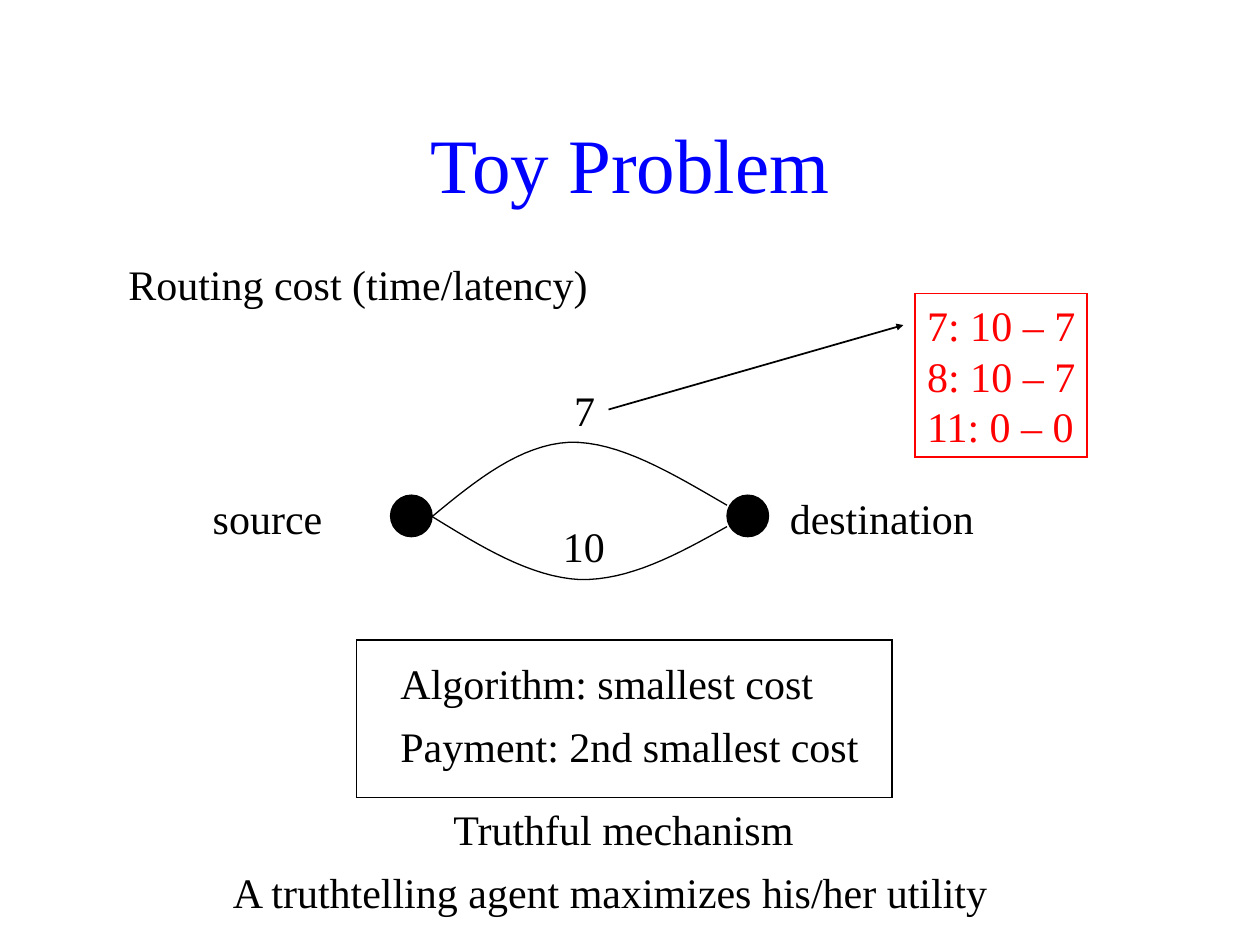
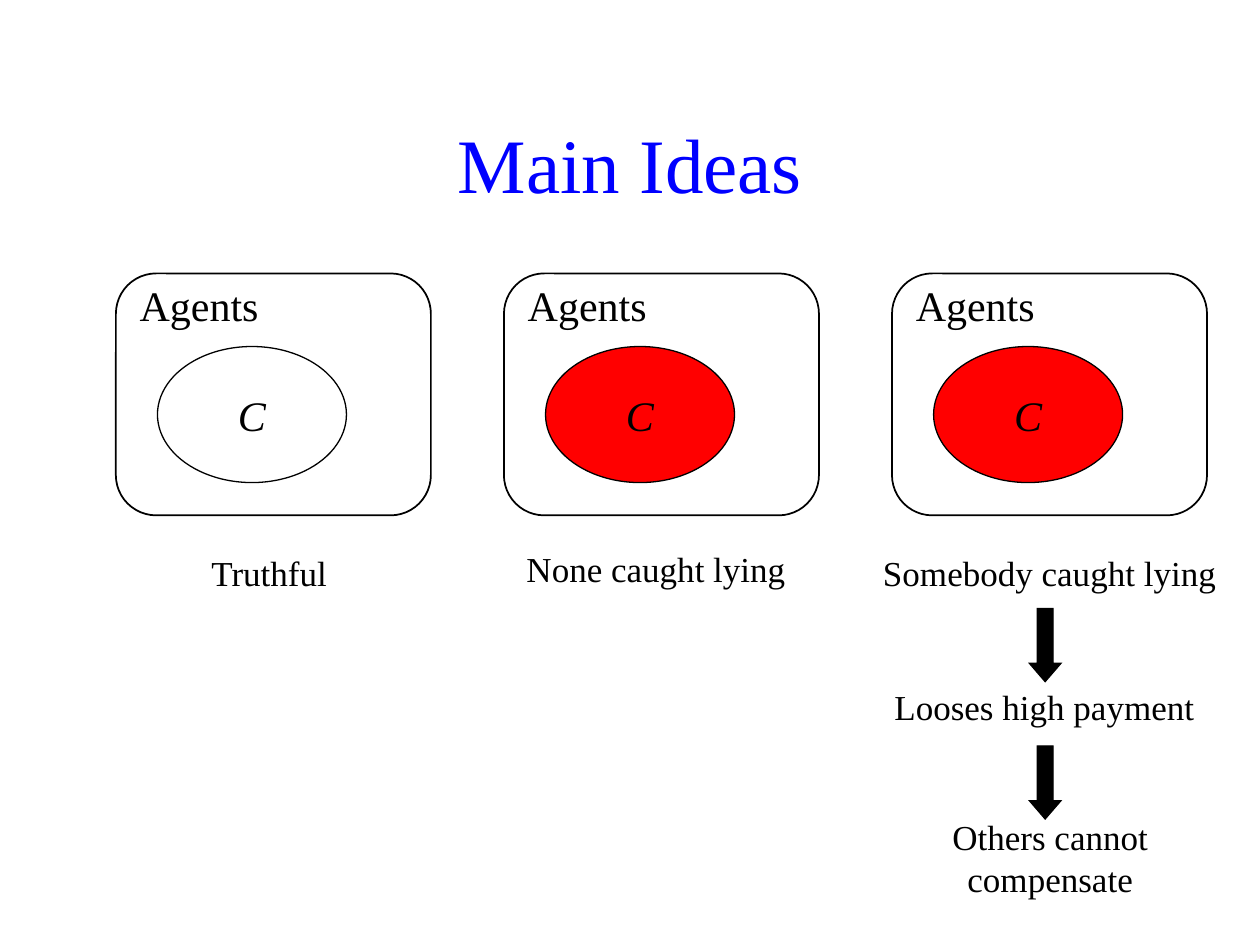
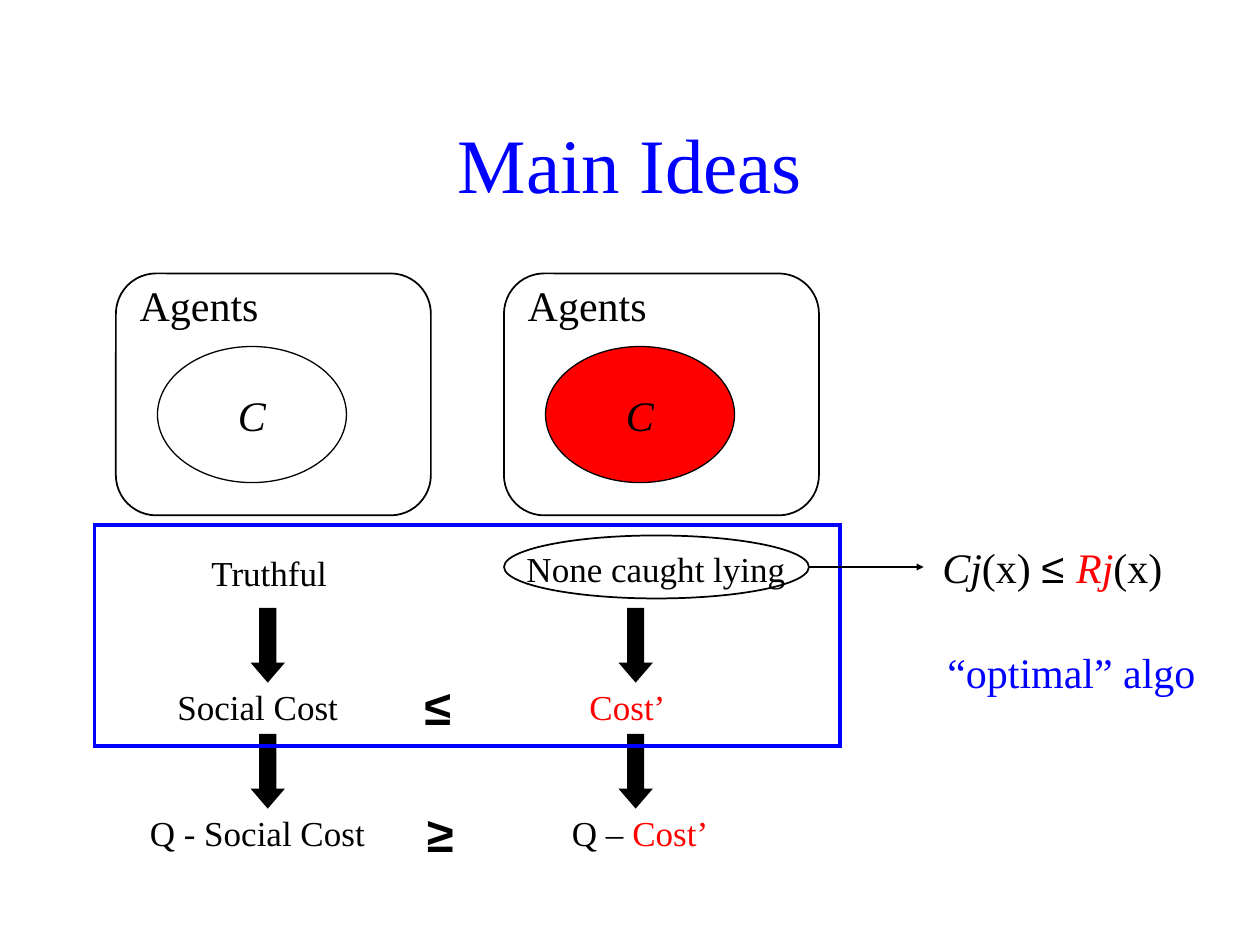
import pptx
import pptx.dml.color
import pptx.enum.shapes
import pptx.enum.text
import pptx.oxml
import pptx.oxml.ns
import pptx.util
from pptx.util import Inches

BLACK = pptx.dml.color.RGBColor(0x00, 0x00, 0x00)
RED = pptx.dml.color.RGBColor(0xFF, 0x00, 0x00)
BLUE = pptx.dml.color.RGBColor(0x00, 0x00, 0xFF)
SERIF = "Times New Roman"
SANS = "Arial"
PRESET = pptx.enum.shapes.MSO_SHAPE
LEFT = pptx.enum.text.PP_ALIGN.LEFT
CENTER = pptx.enum.text.PP_ALIGN.CENTER
TOP = pptx.enum.text.MSO_ANCHOR.TOP
MIDDLE = pptx.enum.text.MSO_ANCHOR.MIDDLE
DRAWING = pptx.oxml.ns.nsdecls("a")


def place(slide, box, preset=None, fill=None, line=BLACK, weight=0.75):
    """Add a preset shape, or a text box when no preset is given."""
    box = [Inches(length) for length in box]
    if preset is None:
        return slide.shapes.add_textbox(*box)
    shape = slide.shapes.add_shape(preset, *box)
    shape.shadow.inherit = False
    if fill is None:
        shape.fill.background()
    else:
        shape.fill.solid()
        shape.fill.fore_color.rgb = fill
    shape.line.color.rgb = line
    shape.line.width = pptx.util.Pt(weight)
    sharp_corners = pptx.oxml.parse_xml(f'<a:miter {DRAWING} lim="800000"/>')
    shape.line._get_or_add_ln().append(sharp_corners)
    return shape


def write(shape, *paragraphs, size=24, color=BLACK, font=SERIF, bold=False,
          italic=False, align=LEFT, anchor=TOP):
    """Fill a shape; a paragraph is a string or a list of (text, overrides)."""
    frame = shape.text_frame
    frame.word_wrap = True
    frame.auto_size = pptx.enum.text.MSO_AUTO_SIZE.NONE
    frame.vertical_anchor = anchor
    # Narrow margins keep tightly fitting text on one line
    frame.margin_left = Inches(0.05 if align == CENTER else 0.1)
    frame.margin_right = Inches(0.05)
    for index, content in enumerate(paragraphs):
        paragraph = frame.add_paragraph() if index else frame.paragraphs[0]
        paragraph.alignment = align
        runs = [(content, {})] if isinstance(content, str) else content
        for text, overrides in runs:
            run = paragraph.add_run()
            run.text = text
            run.font.size = pptx.util.Pt(size)
            run.font.bold = bold
            run.font.name = overrides.get("font", font)
            run.font.italic = overrides.get("italic", italic)
            run.font.color.rgb = overrides.get("color", color)


deck = pptx.Presentation()
deck.slide_width = Inches(10)
deck.slide_height = Inches(7.5)

# Titles
slides = []
for heading in ["Toy Problem", "Main Ideas", "Main Ideas"]:
    slide = deck.slides.add_slide(deck.slide_layouts[5])
    title = slide.shapes.title
    title.left, title.top = Inches(0.75), Inches(0.67)
    title.width, title.height = Inches(8.5), Inches(1.25)
    write(title, heading, size=44, color=BLUE, align=CENTER, anchor=MIDDLE)
    slides.append(slide)
toy, outcomes, comparison = slides

# Toy problem: two routes between two nodes
for node_left in [3.1, 5.77]:
    place(toy, (node_left, 3.93, 0.33, 0.33), PRESET.OVAL, fill=BLACK)

# Each route is two Bezier pieces that share their middle point
routes = [
    [(3.43, 4.1), (3.78, 3.81), (4.13, 3.53), (4.52, 3.51),
     (4.91, 3.5), (5.34, 3.76), (5.77, 4.01)],
    [(3.43, 4.1), (3.82, 4.34), (4.21, 4.58), (4.6, 4.6),
     (4.99, 4.61), (5.38, 4.4), (5.77, 4.18)],
]
STEPS = 16
for controls in routes:
    points = []
    for first in [0, 3]:
        piece = controls[first:first + 4]
        for step in range(1, STEPS + 1):
            t = step / STEPS
            weights = [(1 - t) ** 3, 3 * t * (1 - t) ** 2,
                       3 * t ** 2 * (1 - t), t ** 3]
            points.append(tuple(
                Inches(sum(w * point[axis] for w, point in zip(weights, piece)))
                for axis in (0, 1)))
    start_x, start_y = controls[0]
    builder = toy.shapes.build_freeform(Inches(start_x), Inches(start_y))
    builder.add_line_segments(points, close=False)
    route = builder.convert_to_shape()
    route.shadow.inherit = False
    route.fill.background()
    route.line.color.rgb = BLACK
    route.line.width = pptx.util.Pt(0.75)

for text, left, top, width, align in [
    ("source", 1.59, 3.86, 1.07, LEFT),
    ("destination", 6.17, 3.86, 1.66, LEFT),
    ("Routing cost (time/latency)", 0.92, 2, 3.84, LEFT),
    ("7", 4.46, 3, 0.36, CENTER),
    ("10", 4.37, 4.08, 0.53, CENTER),
    ("Algorithm: smallest cost", 3.08, 5.17, 3.56, LEFT),
    ("Payment: 2nd smallest cost", 3.08, 5.67, 3.84, LEFT),
    ("Truthful mechanism", 3.5, 6.33, 2.91, LEFT),
    ("A truthtelling agent maximizes his/her utility", 1.75, 6.83, 6.21, LEFT),
]:
    write(place(toy, (left, top, width, 0.5)), text, align=align)

utilities = place(toy, (7.26, 2.33, 1.37, 1.3), PRESET.RECTANGLE, line=RED, weight=1)
write(utilities, "7: 10 – 7", "8: 10 – 7", "11: 0 – 0", color=RED)
place(toy, (2.83, 5.08, 4.25, 1.25), PRESET.RECTANGLE, weight=1)

# Main ideas: one panel of agents for each outcome
panels = [
    (None, "Truthful", 1.58, 4.33, 1.13),
    (RED, "None caught lying", 4.08, 4.3, 2.25),
    (RED, "Somebody caught lying", 6.91, 4.33, 2.84),
]
for slide, shown in [(outcomes, panels), (comparison, panels[:2])]:
    for column, (fill, caption, left, top, width) in enumerate(shown):
        panel_left = 0.92 + 3.08 * column
        coalition = place(slide, (panel_left + 0.33, 2.75, 1.5, 1.08),
                          PRESET.OVAL, fill=fill)
        write(coalition, "C", italic=True, align=CENTER, anchor=MIDDLE)
        place(slide, (panel_left, 2.17, 2.5, 1.92), PRESET.ROUNDED_RECTANGLE, weight=1)
        write(place(slide, (panel_left + 0.09, 2.17, 1.14, 0.5)), "Agents")
        write(place(slide, (left, top, width, 0.44)), caption, size=20)

# Consequences below the panels
for slide, left, top in [
    (outcomes, 8.17, 4.83), (outcomes, 8.17, 5.92),
    (comparison, 2, 4.83), (comparison, 2, 5.83),
    (comparison, 4.92, 4.83), (comparison, 4.92, 5.83),
]:
    step_down = place(slide, (left, top, 0.25, 0.58), PRESET.DOWN_ARROW, fill=BLACK)
    step_down.adjustments[1] = 0.58

write(place(outcomes, (7, 5.39, 2.58, 0.44)), "Looses high payment", size=20)
write(place(outcomes, (7, 6.42, 2.67, 0.77)), "Others cannot compensate",
      size=20, align=CENTER)

for content, left, top, width in [
    ("Social Cost", 1.31, 5.39, 1.48),
    ([("Cost’", {"color": RED})], 4.58, 5.39, 0.81),
    ("Q - Social Cost", 1.09, 6.39, 1.92),
    ([("Q – ", {}), ("Cost’", {"color": RED})], 4.44, 6.39, 1.29),
]:
    write(place(comparison, (left, top, width, 0.44)), content, size=20)
for relation, left, top in [("≤", 3.27, 5.32), ("≥", 3.29, 6.33)]:
    write(place(comparison, (left, top, 0.51, 0.57)), relation,
          size=28, font=SANS, bold=True)

place(comparison, (4, 4.25, 2.42, 0.5), PRESET.OVAL, weight=1)
write(place(comparison, (7.38, 4.25, 2.02, 0.5)), [
    ("Cj", {"italic": True}),
    ("(x) ", {}),
    ("≤ ", {"font": SANS}),
    ("Rj", {"italic": True, "color": RED}),
    ("(x)", {}),
])
place(comparison, (0.75, 4.17, 5.92, 1.75), PRESET.RECTANGLE, line=BLUE, weight=2.25)
write(place(comparison, (7.42, 5.08, 2.17, 0.5)), "“optimal” algo", color=BLUE)

# Thin arrows to the side remarks
for slide, *ends in [(toy, 4.83, 3.25, 7.17, 2.58), (comparison, 6.42, 4.5, 7.33, 4.5)]:
    pointer = slide.shapes.add_connector(
        pptx.enum.shapes.MSO_CONNECTOR.STRAIGHT, *[Inches(end) for end in ends])
    pointer.line.color.rgb = BLACK
    pointer.line.width = pptx.util.Pt(1)
    head = pptx.oxml.parse_xml(
        f'<a:tailEnd {DRAWING} type="triangle" w="sm" len="sm"/>')
    pointer.line._get_or_add_ln().append(head)
    no_effects = pptx.oxml.parse_xml(f'<a:effectLst {DRAWING}/>')
    pointer._element.spPr.append(no_effects)

deck.save("out.pptx")
